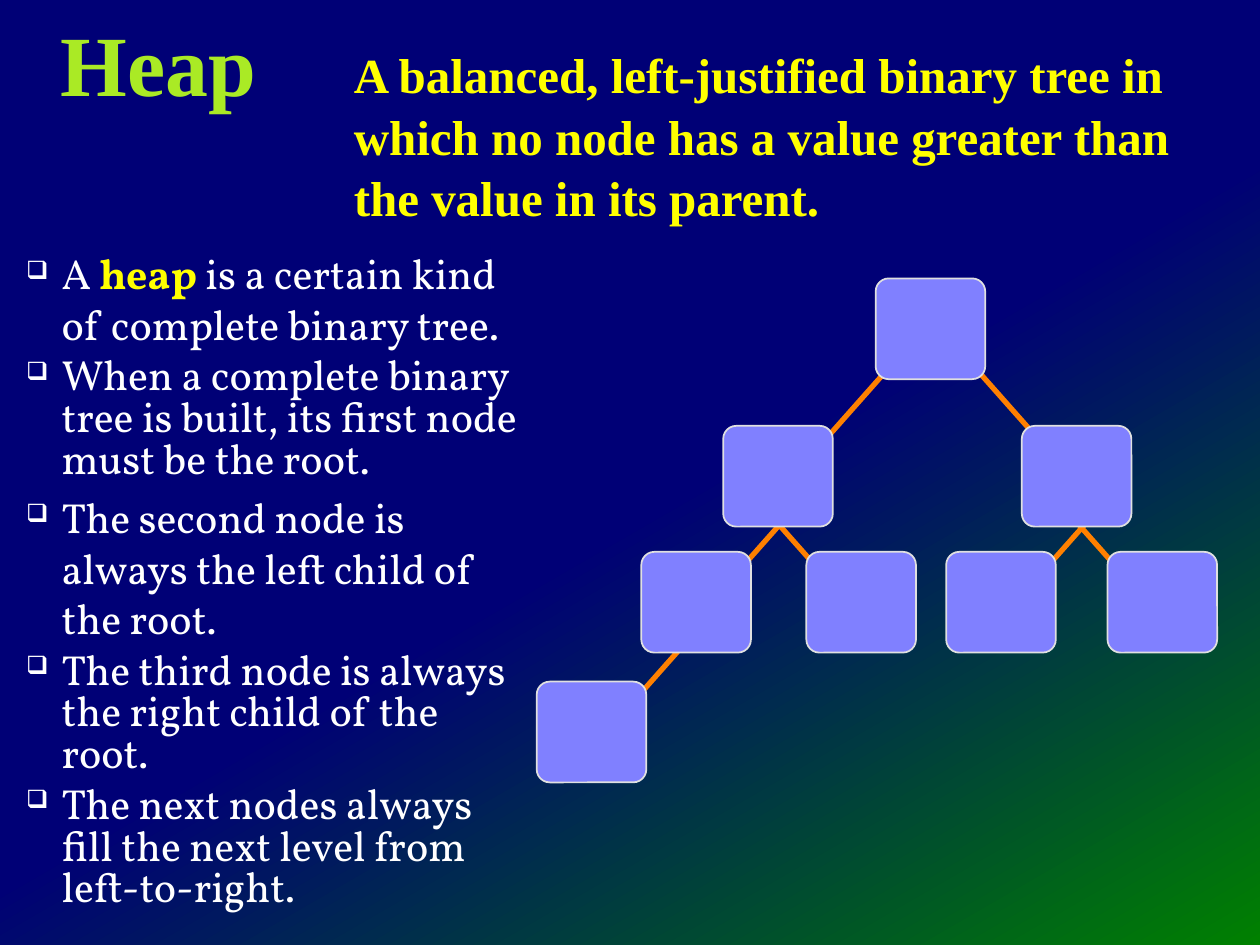
import pptx
import pptx.util
import pptx.dml.color
import pptx.enum.shapes
import pptx.enum.text
import lxml.etree

deck = pptx.Presentation()
deck.slide_width = pptx.util.Inches(10)
deck.slide_height = pptx.util.Inches(7.5)
cell = deck.slide_width // 100
slide = deck.slides.add_slide(deck.slide_layouts[5])
shapes = slide.shapes
anchor = pptx.enum.text.MSO_ANCHOR
NS = "{http://schemas.openxmlformats.org/drawingml/2006/main}"


def paint(target, color):
    target.rgb = pptx.dml.color.RGBColor.from_string(color)


def write(para, text, font, size, color, bold=False):
    run = para.add_run()
    run.text = text
    run.font.name = font
    run.font.size = pptx.util.Pt(size)
    run.font.bold = bold
    paint(run.font.color, color)


fill = slide.background.fill
fill.gradient()
fill.gradient_angle = 300
for stop, (place, color) in zip(fill.gradient_stops, [(0.53, "000076"), (1, "008000")]):
    stop.position = place
    paint(stop.color, color)

title = shapes.title
title.left, title.top = int(1.7 * cell), int(1.8 * cell)
title.width, title.height = int(21.7 * cell), int(7.9 * cell)
frame = title.text_frame
frame.auto_size = pptx.enum.text.MSO_AUTO_SIZE.NONE
frame.vertical_anchor = anchor.BOTTOM
para = frame.paragraphs[0]
para.alignment = pptx.enum.text.PP_ALIGN.CENTER
para.line_spacing = 0.95
write(para, "Heap", "Times New Roman", 49, "AAEA25", True)

frame = shapes.add_textbox(*[int(n * cell) for n in (22.1, 2.8, 75.1, 15.1)]).text_frame
frame.word_wrap = True
para = frame.paragraphs[0]
para.line_spacing = 1.05
para._p.get_or_add_pPr().set("marL", str(5 * cell))
write(para, "A balanced, left-justified binary tree in which no node has a value "
      "greater than the value in its parent.", "Times New Roman", 28, "FFFF00", True)

points = [
    (1, ["A ", "heap", " is a certain kind of complete binary tree."]),
    (0.83, ["When a complete binary tree is built, its first node must be the root."]),
    (1, ["The second node is always the left child of the root."]),
    (0.83, ["The third node is always the right child of the root."]),
    (0.83, ["The next nodes always fill the next level from left-to-right."]),
]
frame = shapes.add_textbox(*[int(n * cell) for n in (0.9, 18.6, 41.7, 54.8)]).text_frame
frame.word_wrap = True
frame.vertical_anchor = anchor.MIDDLE
for row, (pitch, parts) in enumerate(points):
    para = frame.add_paragraph() if row else frame.paragraphs[0]
    props = para._p.get_or_add_pPr()
    props.set("marL", str(3 * cell))
    props.set("indent", str(int(-2.8 * cell)))
    tint = lxml.etree.SubElement(props, NS + "buClr")
    lxml.etree.SubElement(tint, NS + "srgbClr", val="FFFFFF")
    lxml.etree.SubElement(props, NS + "buSzPct", val="60000")
    lxml.etree.SubElement(props, NS + "buChar", char="❑")
    para.line_spacing = pitch
    if row:
        para.space_before = pptx.util.Pt(5)
    for part in parts:
        key = part == "heap"
        write(para, part, "Vollkorn", 24, "FFFF00" if key else "FFFFFF", key)

edges = [
    (70.1, 29.7, -1), (77.4, 29.2, 1),
    (63.6, 39.7, -1), (60.1, 39.7, 1), (87.8, 39.7, -1), (83.9, 39.7, 1),
    (55.3, 50, -1),
]
for x, y, side in edges:
    ends = [int(n * cell) for n in (x, y, x + side * 6.2, y + 7)]
    edge = shapes.add_connector(pptx.enum.shapes.MSO_CONNECTOR.STRAIGHT, *ends)
    paint(edge.line.color, "FF8000")
    edge.line.width = pptx.util.Pt(3)
    lxml.etree.SubElement(edge._element.spPr, NS + "effectLst")

levels = [(22.1, [69.5]), (33.8, [57.4, 81.1]), (43.8, [50.9, 64, 75.1, 87.9]), (54.1, [42.6])]
for top, lefts in levels:
    for left in lefts:
        box = [int(n * cell) for n in (left, top, 8.7, 8)]
        node = shapes.add_shape(pptx.enum.shapes.MSO_SHAPE.ROUNDED_RECTANGLE, *box)
        node.adjustments[0] = 0.13
        node.shadow.inherit = False
        node.fill.solid()
        paint(node.fill.fore_color, "8080FF")
        paint(node.line.color, "E0E0E0")
        node.line.width = pptx.util.Pt(1)

deck.save("out.pptx")
